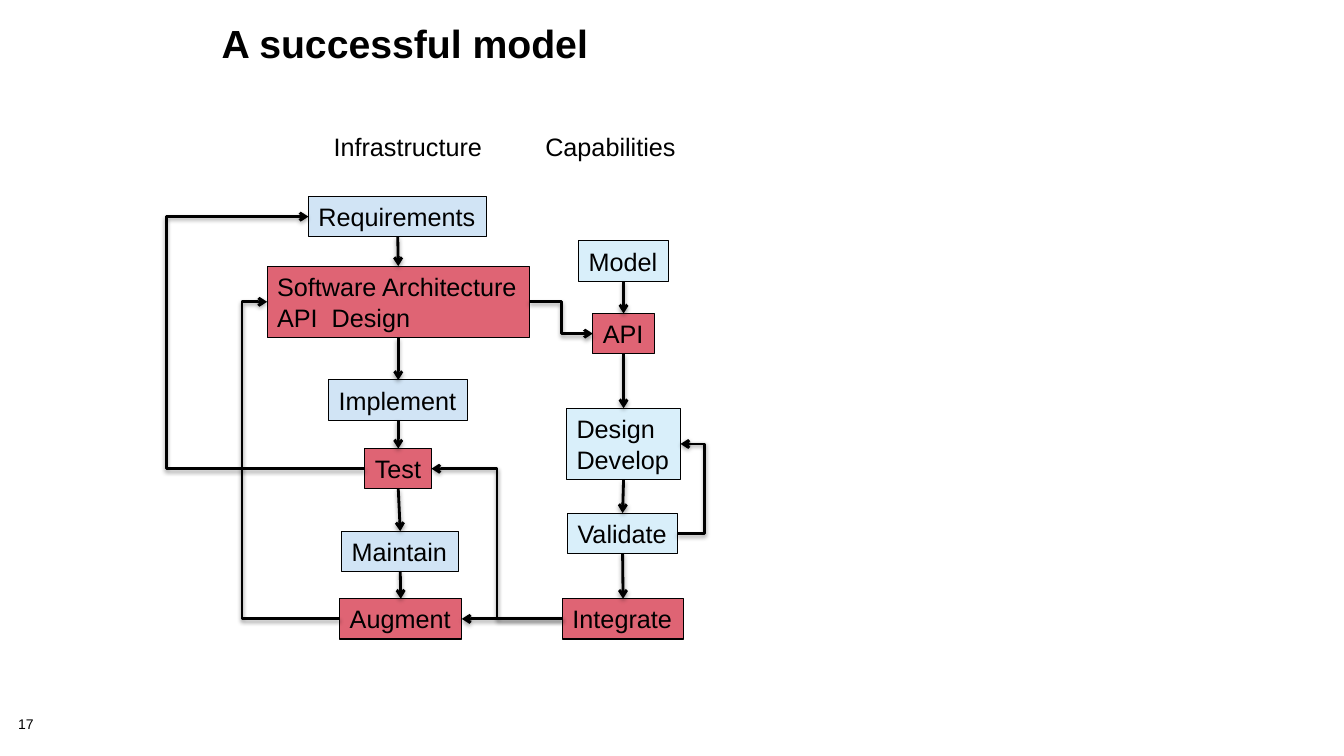
from dataclasses import dataclass

from lxml import etree
from pptx import Presentation
from pptx.dml.color import RGBColor
from pptx.enum.shapes import MSO_CONNECTOR, MSO_SHAPE
from pptx.enum.text import MSO_ANCHOR, MSO_AUTO_SIZE
from pptx.oxml import parse_xml
from pptx.oxml.ns import nsdecls, qn
from pptx.util import Inches, Pt

RECT = MSO_SHAPE.RECTANGLE
STRAIGHT, ELBOW = MSO_CONNECTOR.STRAIGHT, MSO_CONNECTOR.ELBOW
TOP, MIDDLE = MSO_ANCHOR.TOP, MSO_ANCHOR.MIDDLE
FIT, NO_FIT = MSO_AUTO_SIZE.SHAPE_TO_FIT_TEXT, MSO_AUTO_SIZE.NONE
UP, LEFT, DOWN, RIGHT = range(4)
FONT, BLACK = "Arial", "000000"
BLUE, PALE, RED = "D1E4F5", "D9EFFA", "DF6474"
ONE_LINE, TWO_LINES = 0.4, 0.71


@dataclass
class Step:
    lines: tuple[str, ...]
    left: float
    top: float
    width: float
    fill: str


@dataclass
class Label:
    text: str
    left: float
    top: float
    width: float
    height: float
    size: int = 18
    bold: bool = False
    wrap: bool = False
    inset: bool = True
    spacing: float = 1.0


@dataclass
class Bend:
    start: str
    start_side: int
    end: str
    end_side: int
    via: float  # x of the vertical leg


INFRASTRUCTURE = [
    Step(("Requirements",), 3.06, 1.95, 1.77, BLUE),
    Step(("Software Architecture", "API  Design"), 2.65, 2.64, 2.6, RED),
    Step(("Implement",), 3.26, 3.77, 1.38, BLUE),
    Step(("Test",), 3.62, 4.45, 0.66, RED),
    Step(("Maintain",), 3.39, 5.27, 1.16, BLUE),
    Step(("Augment",), 3.37, 5.94, 1.21, RED),
]
CAPABILITIES = [
    Step(("Model",), 5.74, 2.39, 0.89, PALE),
    Step(("API",), 5.88, 3.11, 0.61, RED),
    Step(("Design", "Develop"), 5.62, 4.05, 1.13, PALE),
    Step(("Validate",), 5.63, 5.09, 1.09, PALE),
    Step(("Integrate",), 5.58, 5.94, 1.2, RED),
]
BENDS = [
    Bend("Augment", LEFT, "Software Architecture", LEFT, 2.4),
    Bend("Validate", RIGHT, "Design", RIGHT, 6.99),
    Bend("Software Architecture", RIGHT, "API", LEFT, 5.57),
    Bend("Test", LEFT, "Requirements", LEFT, 1.65),
    Bend("Integrate", LEFT, "Test", RIGHT, 4.93),
]
LABELS = [
    Label("17", 0.18, 7.12, 0.56, 0.16, size=10, wrap=True, inset=False, spacing=0.9),
    Label("Infrastructure", 3.21, 1.25, 1.69, ONE_LINE),
    Label("Capabilities", 5.31, 1.25, 1.51, ONE_LINE),
    Label("A successful model", 2.1, 0.21, 9.5, 1.25, size=28, bold=True, wrap=True,
          spacing=0.85),
]


def rgb(color: str) -> RGBColor:
    return RGBColor.from_string(color)


def write(tf, lines, size: int = 18, bold: bool = False, spacing: float = 1.0) -> None:
    for i, line in enumerate(lines):
        p = tf.paragraphs[0] if i == 0 else tf.add_paragraph()
        p.line_spacing = spacing
        r = p.add_run()
        r.text = line
        r.font.name, r.font.size, r.font.bold = FONT, Pt(size), bold
        r.font.color.rgb = rgb(BLACK)


def add_label(s, label: Label) -> None:
    sp = s.shapes.add_textbox(Inches(label.left), Inches(label.top),
                              Inches(label.width), Inches(label.height))
    tf = sp.text_frame
    tf.word_wrap = label.wrap
    tf.auto_size = NO_FIT if label.wrap else FIT
    tf.vertical_anchor = TOP
    if not label.inset:
        tf.margin_left = tf.margin_top = tf.margin_right = tf.margin_bottom = 0
    write(tf, [label.text], label.size, label.bold, label.spacing)


def add_step(s, step: Step):
    height = ONE_LINE if len(step.lines) == 1 else TWO_LINES
    sp = s.shapes.add_shape(RECT, Inches(step.left), Inches(step.top),
                            Inches(step.width), Inches(height))
    sp.shadow.inherit = False
    sp.fill.solid()
    sp.fill.fore_color.rgb = rgb(step.fill)
    sp.line.color.rgb = rgb(BLACK)
    sp.line.width = Pt(0.75)
    tf = sp.text_frame
    tf.word_wrap = False
    tf.auto_size = FIT
    tf.vertical_anchor = MIDDLE
    write(tf, step.lines)
    for p in tf.paragraphs:
        p.alignment = 1
    return sp


def add_arrow(s, kind, start, start_side: int, end, end_side: int):
    """Join two steps with a shadowed arrow."""
    cxn = s.shapes.add_connector(kind, 0, 0, 0, 0)
    cxn.begin_connect(start, start_side)
    cxn.end_connect(end, end_side)
    cxn.line.color.rgb = rgb(BLACK)
    cxn.line.width = Pt(2)
    ln = cxn.line._get_or_add_ln()
    etree.SubElement(ln, qn("a:tailEnd"), type="arrow")
    cxn._element.spPr.append(parse_xml(
        f'<a:effectLst {nsdecls("a")}>'
        '<a:outerShdw blurRad="40000" dist="20000" dir="5400000" rotWithShape="0">'
        f'<a:srgbClr val="{BLACK}"><a:alpha val="38000"/></a:srgbClr>'
        '</a:outerShdw></a:effectLst>'))
    return cxn


def add_bend(s, boxes: dict, bend: Bend) -> None:
    cxn = add_arrow(s, ELBOW, boxes[bend.start], bend.start_side,
                    boxes[bend.end], bend.end_side)
    share = (Inches(bend.via) - cxn.begin_x) / (cxn.end_x - cxn.begin_x)
    geom = cxn._element.spPr.find(qn("a:prstGeom"))
    guides = geom.find(qn("a:avLst"))
    etree.SubElement(guides, qn("a:gd"), name="adj1", fmla=f"val {round(share * 100000)}")


def main() -> None:
    prs = Presentation()
    prs.slide_width, prs.slide_height = Inches(13.33), Inches(7.5)
    s = prs.slides.add_slide(prs.slide_layouts[6])
    boxes = {}
    for column in (INFRASTRUCTURE, CAPABILITIES):
        chain = [add_step(s, step) for step in column]
        boxes.update((step.lines[0], sp) for step, sp in zip(column, chain))
        for upper, lower in zip(chain, chain[1:]):
            add_arrow(s, STRAIGHT, upper, DOWN, lower, UP)
    add_arrow(s, STRAIGHT, boxes["Integrate"], LEFT, boxes["Augment"], RIGHT)
    for bend in BENDS:
        add_bend(s, boxes, bend)
    for label in LABELS:
        add_label(s, label)
    prs.save("out.pptx")


if __name__ == "__main__":
    main()
